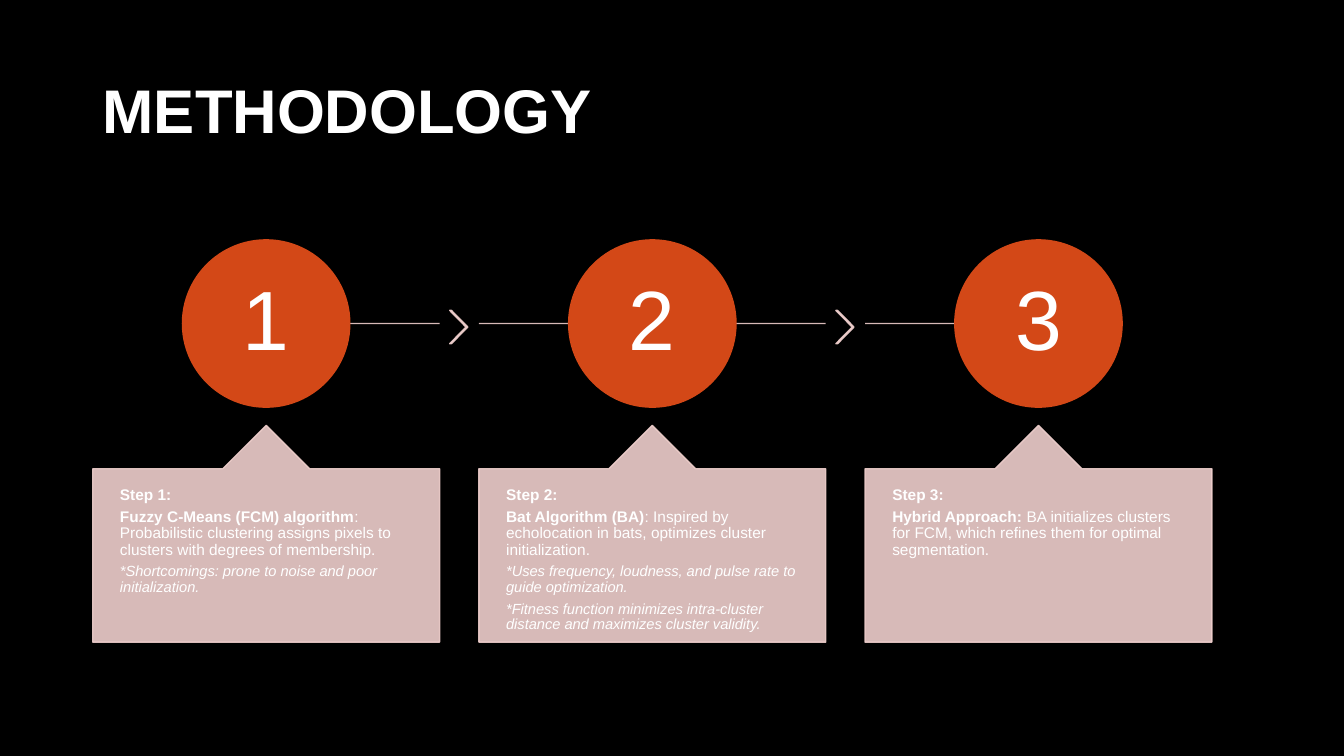
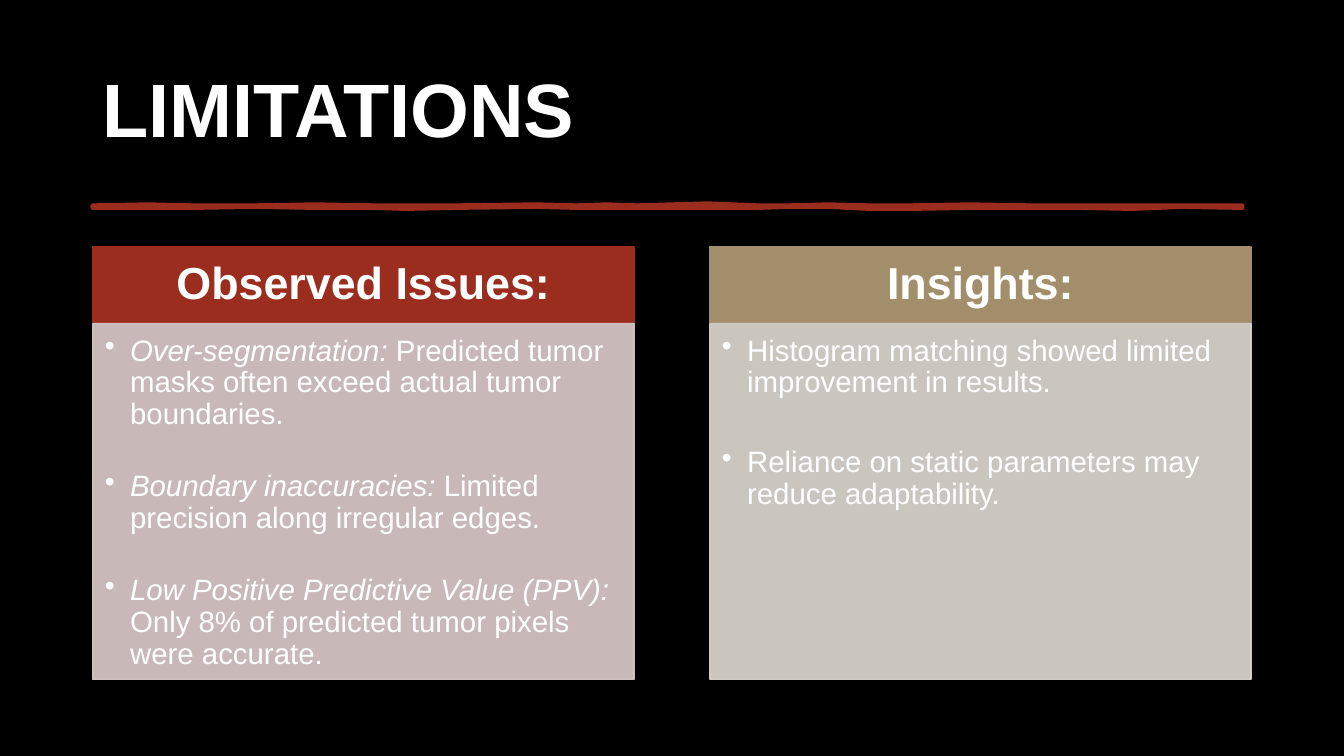
from lxml.etree import SubElement
from pptx import Presentation
from pptx.dml.color import RGBColor
from pptx.enum.shapes import MSO_CONNECTOR, MSO_SHAPE
from pptx.enum.text import MSO_ANCHOR, PP_ALIGN
from pptx.oxml.ns import qn
from pptx.util import Inches, Pt

BLACK, WHITE = "000000", "FFFFFF"
ORANGE, PINK = "D34817", "EFCFCC"
RED, TAN = "9B2D1F", "A28E6A"
ROSE, SAND = "DECDCD", "E0DBD4"
FONT = "Arial"
LEFT = 0.92
BOLD, ITALIC = {"bold": True}, {"italic": True}

STEPS = [
    [
        [("Step 1:", BOLD)],
        [("Fuzzy C-Means (FCM) algorithm", BOLD),
         (": Probabilistic clustering assigns pixels to clusters with degrees of membership.", {})],
        [("*Shortcomings: prone to noise and poor initialization.", ITALIC)],
    ],
    [
        [("Step 2:", BOLD)],
        [("Bat Algorithm (BA)", BOLD),
         (": Inspired by echolocation in bats, optimizes cluster initialization.", {})],
        [("*Uses frequency, loudness, and pulse rate to guide optimization.", ITALIC)],
        [("*Fitness function minimizes intra-cluster distance and maximizes cluster validity.", ITALIC)],
    ],
    [
        [("Step 3:", BOLD)],
        [("Hybrid Approach: ", BOLD),
         ("BA initializes clusters for FCM, which refines them for optimal segmentation.", {})],
    ],
]

ISSUES = [
    [("Over-segmentation: ", ITALIC),
     ("Predicted tumor masks often exceed actual tumor boundaries.", {})],
    [("Boundary inaccuracies: ", ITALIC),
     ("Limited precision along irregular edges.", {})],
    [("Low Positive Predictive Value (PPV): ", ITALIC),
     ("Only 8% of predicted tumor pixels were accurate.", {})],
]

INSIGHTS = [
    [("Histogram matching showed limited improvement in results.", {})],
    [("Reliance on static parameters may reduce adaptability.", {})],
]

RULE_EDGES = [
    (0, 0, 0.02), (0.55, -0.01, 0.02), (1.0, 0, 0.02), (1.6, 0, 0.01),
    (2.2, -0.01, 0.02), (2.8, 0, 0.02), (3.1, 0, 0.03), (3.6, 0, 0.02),
    (4.4, -0.01, 0.01), (4.8, 0, 0.02), (5.1, -0.01, 0.02), (5.4, 0, 0.02),
    (6.1, -0.02, 0.02), (6.6, 0, 0.02), (6.9, 0, 0.01), (7.3, -0.01, 0.01),
    (7.7, 0, 0.03), (8.1, 0, 0.03), (8.7, -0.01, 0.02), (9.3, 0, 0.02),
    (9.8, 0, 0.02), (10.3, 0, 0.03), (10.8, 0, 0.01), (11.4, 0, 0.02),
]


def set_color(target, value, alpha=None):
    """Give a fill a solid hex colour, with an optional opacity in percent."""
    target.solid()
    target.fore_color.rgb = RGBColor.from_string(value)
    if alpha:
        color = target._xPr.find(qn("a:solidFill"))[0]
        SubElement(color, qn("a:alpha"), val=str(alpha * 1000))


def paint(shape, color, alpha=None, width=1):
    """Colour the fill and line of a shape alike and drop its shadow."""
    shape.shadow.inherit = False
    set_color(shape.fill, color, alpha)
    set_color(shape.line.fill, color, alpha)
    shape.line.width = Pt(width)


def add_preset(page, kind, box, color, alpha=None, adjustments=()):
    """Add a painted preset shape in a box given in inches."""
    shape = page.shapes.add_shape(kind, *map(Inches, box))
    paint(shape, color, alpha)
    for index, value in enumerate(adjustments):
        shape.adjustments[index] = value
    return shape


def write(shape, paragraphs, size, insets, anchor=MSO_ANCHOR.TOP,
          align=PP_ALIGN.LEFT, gap=0, bullet=False, italic_size=None):
    """Fill a shape with paragraphs made of (text, format) spans."""
    frame = shape.text_frame
    sides = ("left", "top", "right", "bottom")
    settings = {f"margin_{side}": Inches(inset) for side, inset in zip(sides, insets)}
    settings.update(word_wrap=True, vertical_anchor=anchor)
    for name, value in settings.items():
        setattr(frame, name, value)
    for index, spans in enumerate(paragraphs):
        para = frame.add_paragraph() if index else frame.paragraphs[0]
        last = index == len(paragraphs) - 1
        layout = {"alignment": align, "line_spacing": 0.9, "space_after": Pt(0 if last else gap)}
        for name, value in layout.items():
            setattr(para, name, value)
        if bullet:
            properties = para._p.get_or_add_pPr()
            properties.set("marL", str(Inches(0.25)))
            properties.set("indent", str(Inches(-0.25)))
            SubElement(properties, qn("a:buChar"), char="•")
        for text, style in spans:
            span = para.add_run()
            span.text = text
            points = italic_size if italic_size and style.get("italic") else size
            for name, value in {"name": FONT, "size": Pt(points), **style}.items():
                setattr(span.font, name, value)
            set_color(span.font.fill, WHITE)


def add_page(deck, title, size):
    """Add a black page with a bold title."""
    page = deck.slides.add_slide(deck.slide_layouts[6])
    set_color(page.background.fill, BLACK)
    box = page.shapes.add_textbox(*map(Inches, (LEFT, 0.4, 11.5, 1.45)))
    write(box, [[(title, BOLD)]], size, (0.1, 0.05, 0.1, 0.05), MSO_ANCHOR.MIDDLE)
    return page


def add_link(page, start, end, top):
    """Draw a thin horizontal line between two steps."""
    line = page.shapes.add_connector(
        MSO_CONNECTOR.STRAIGHT, *map(Inches, (start, top, end, top)))
    set_color(line.line.fill, PINK, 90)
    line.line.width = Pt(1)
    SubElement(line._element.spPr, qn("a:effectLst"))


def add_step(page, left, top, number, paragraphs, first, last):
    """Place one step: link, chevron, numbered circle and callout."""
    width, circle = 3.44, 1.66
    center = left + width / 2
    add_link(page, center if first else left,
             center if last else left + width, top + circle / 2)
    if not last:
        add_preset(page, MSO_SHAPE.CHEVRON, (left + 3.54, top + 0.7, 0.18, 0.33),
                   PINK, 90, (0.9,))
    disc = add_preset(page, MSO_SHAPE.OVAL,
                      (center - circle / 2, top, circle, circle), ORANGE)
    write(disc, [[(str(number), {})]], 60, (0.06,) * 4, MSO_ANCHOR.MIDDLE, PP_ALIGN.CENTER)
    callout = add_preset(page, MSO_SHAPE.UP_ARROW_CALLOUT, (left, top + 1.84, width, 2.15),
                         PINK, 90, (0.5, 0.2, 0.2, 1))
    write(callout, paragraphs, 11, (0.27, 0.18, 0.27, 0.18), gap=3.85, italic_size=10.5)


def add_rough_rule(page, left, top):
    """Draw a hand-drawn rule as an outline with uneven edges."""
    upper = [(left + x, top + high) for x, high, low in RULE_EDGES]
    lower = [(left + x, top + low) for x, high, low in reversed(RULE_EDGES)]
    points = [(Inches(x), Inches(y)) for x, y in upper + lower]
    builder = page.shapes.build_freeform(*points[0])
    builder.add_line_segments(points[1:], close=True)
    paint(builder.convert_to_shape(), RED, width=3.25)


def add_panel(page, left, top, heading, paragraphs, head_color, body_color, gap):
    """Place a heading bar above a panel of bullets."""
    width, bar = 5.37, 0.75
    head = add_preset(page, MSO_SHAPE.RECTANGLE, (left, top, width, bar), head_color)
    write(head, [[(heading, BOLD)]], 32, (0.25, 0.14, 0.25, 0.14),
          MSO_ANCHOR.MIDDLE, PP_ALIGN.CENTER)
    body = add_preset(page, MSO_SHAPE.RECTANGLE, (left, top + bar + 0.01, width, 3.53),
                      body_color, 90)
    write(body, paragraphs, 21, (0.12, 0.12, 0.16, 0.18), gap=gap, bullet=True)


def build_methodology(deck):
    """Build the page with the three steps."""
    page = add_page(deck, "METHODOLOGY", 44)
    for index, paragraphs in enumerate(STEPS):
        add_step(page, LEFT + 3.83 * index, 2.38, index + 1, paragraphs,
                 index == 0, index == len(STEPS) - 1)


def build_limitations(deck):
    """Build the page with the two panels."""
    page = add_page(deck, "LIMITATIONS", 54)
    add_rough_rule(page, LEFT, 2.04)
    panels = [
        ("Observed Issues:", ISSUES, RED, ROSE, 28.9),
        ("Insights:", INSIGHTS, TAN, SAND, 34.6),
    ]
    for index, panel in enumerate(panels):
        add_panel(page, LEFT + 6.12 * index, 2.45, *panel)


def main():
    """Build and save the deck."""
    deck = Presentation()
    deck.slide_width, deck.slide_height = Inches(13.33), Inches(7.5)
    build_methodology(deck)
    build_limitations(deck)
    deck.save("out.pptx")


if __name__ == "__main__":
    main()
